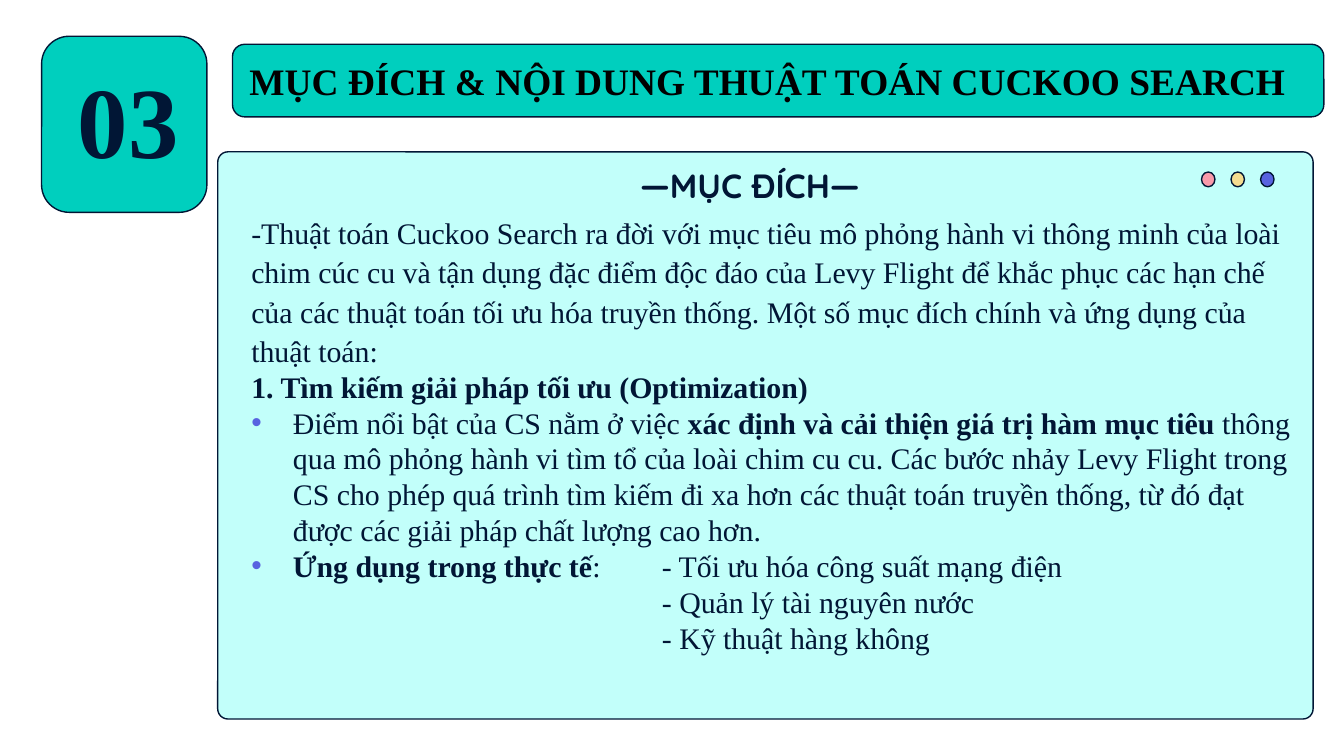
from lxml.etree import SubElement
from pptx import Presentation
from pptx.dml.color import RGBColor
from pptx.enum.shapes import MSO_SHAPE
from pptx.enum.text import MSO_ANCHOR, MSO_AUTO_SIZE, PP_ALIGN
from pptx.oxml.ns import qn
from pptx.util import Inches, Pt

NAVY = RGBColor(0x01, 0x16, 0x35)
BLACK = RGBColor(0x00, 0x00, 0x00)
TEAL = RGBColor(0x00, 0xCF, 0xBE)
MINT = RGBColor(0xC2, 0xFF, 0xFA)
PINK = RGBColor(0xF9, 0x9A, 0xAA)
YELLOW = RGBColor(0xF4, 0xDC, 0x90)
VIOLET = RGBColor(0x58, 0x63, 0xE0)
SERIF = "Times New Roman"


def add_run(p, text, size=16, font=SERIF, color=NAVY, bold=False):
    r = p.add_run()
    r.text = text
    r.font.size = Pt(size)
    r.font.name = font
    r.font.color.rgb = color
    r.font.bold = bold


class SlideBuilder:
    def __init__(self, slide):
        self.s = slide

    def shape(self, kind, box, fill, radius=None):
        sp = self.s.shapes.add_shape(kind, *map(Inches, box))
        sp.shadow.inherit = False
        sp.fill.solid()
        sp.fill.fore_color.rgb = fill
        sp.line.color.rgb = NAVY
        sp.line.width = Pt(0.75)
        if radius is not None:
            sp.adjustments[0] = radius
        return sp

    def frame(self, sp, inset=0, anchor=MSO_ANCHOR.TOP):
        tf = sp.text_frame
        tf.word_wrap = True
        tf.auto_size = MSO_AUTO_SIZE.NONE
        tf.vertical_anchor = anchor
        tf.margin_left = tf.margin_right = Inches(inset)
        tf.margin_top = tf.margin_bottom = Inches(inset)
        return tf

    def label(self, sp, text, align=PP_ALIGN.CENTER, inset=0,
              anchor=MSO_ANCHOR.TOP, **style):
        p = self.frame(sp, inset, anchor).paragraphs[0]
        p.alignment = align
        add_run(p, text, bold=True, **style)

    def text(self, box, text, **style):
        self.label(self.s.shapes.add_textbox(*map(Inches, box)), text, **style)

    def placeholder(self, index, box):
        sp = self.s.placeholders[index]
        sp.left, sp.top, sp.width, sp.height = map(Inches, box)
        self.s.shapes.element.append(sp.element)
        return sp

    def title(self, box, text, **style):
        self.label(self.placeholder(0, box), text, **style)

    def body(self, box, paragraphs):
        tf = self.frame(self.placeholder(1, box))
        for i, (runs, left, bullet, spacing) in enumerate(paragraphs):
            p = tf.paragraphs[0] if i == 0 else tf.add_paragraph()
            p.alignment = PP_ALIGN.LEFT
            p.line_spacing = spacing
            p.space_before = p.space_after = Pt(0)
            self.indent(p, left, bullet)
            for text, bold in runs:
                add_run(p, text, bold=bold)

    def indent(self, p, left, bullet):
        pPr = p._p.get_or_add_pPr()
        pPr.set("marL", str(Inches(left)))
        pPr.set("indent", str(-Inches(left) if bullet else 0))
        if bullet:
            clr = SubElement(pPr, qn("a:buClr"))
            SubElement(clr, qn("a:srgbClr"), val=str(VIOLET))
            SubElement(pPr, qn("a:buFont"), typeface="Arial")
            SubElement(pPr, qn("a:buChar"), char="•")
        else:
            SubElement(pPr, qn("a:buNone"))


INTRO = (
    "-Thuật toán Cuckoo Search ra đời với mục tiêu mô phỏng hành vi thông minh "
    "của loài chim cúc cu và tận dụng đặc điểm độc đáo của Levy Flight để khắc "
    "phục các hạn chế của các thuật toán tối ưu hóa truyền thống. Một số mục "
    "đích chính và ứng dụng của thuật toán:"
)
SEARCH = (
    " thông qua mô phỏng hành vi tìm tổ của loài chim cu cu. Các bước nhảy Levy "
    "Flight trong CS cho phép quá trình tìm kiếm đi xa hơn các thuật toán truyền "
    "thống, từ đó đạt được các giải pháp chất lượng cao hơn."
)
PARAGRAPHS = [
    ([(INTRO, False)], 0, False, 1.1),
    ([("1. Tìm kiếm giải pháp tối ưu (Optimization)", True)], 0, False, 1.0),
    ([("Điểm nổi bật của CS nằm ở việc ", False),
      ("xác định và cải thiện giá trị hàm mục tiêu", True),
      (SEARCH, False)], 0.31, True, 1.0),
    ([("Ứng dụng trong thực tế", True),
      (":\t - Tối ưu hóa công suất mạng điện", False)], 0.31, True, 1.0),
    ([(" - Quản lý tài nguyên nước", False)], 3, False, 1.0),
    ([(" - Kỹ thuật hàng không", False)], 3, False, 1.0),
]


def main():
    prs = Presentation()
    prs.slide_width = Inches(10)
    prs.slide_height = prs.slide_width * 9 // 16
    b = SlideBuilder(prs.slides.add_slide(prs.slide_layouts[1]))

    rounded = MSO_SHAPE.ROUNDED_RECTANGLE
    banner = b.shape(rounded, (1.73, 0.33, 8.12, 0.54), TEAL, 0.167)
    b.label(banner, "MỤC ĐÍCH & NỘI DUNG THUẬT TOÁN CUCKOO SEARCH",
            align=PP_ALIGN.LEFT, inset=0.1, anchor=MSO_ANCHOR.MIDDLE,
            size=20, color=BLACK)
    b.shape(rounded, (0.31, 0.27, 1.23, 1.31), TEAL, 0.167)
    b.text((0.5, 0.43, 0.91, 0.96), "03", size=54)

    b.shape(rounded, (1.62, 1.13, 8.15, 4.22), MINT, 0.018)
    b.title((3.09, 1.23, 4.98, 0.38), "—MỤC ĐÍCH—", size=18, font="Quicksand")
    b.body((1.87, 1.57, 7.85, 3.71), PARAGRAPHS)
    for i, color in enumerate((PINK, YELLOW, VIOLET)):
        b.shape(MSO_SHAPE.OVAL, (8.94 + 0.22 * i, 1.28, 0.1, 0.11), color)

    prs.save("out.pptx")


if __name__ == "__main__":
    main()
